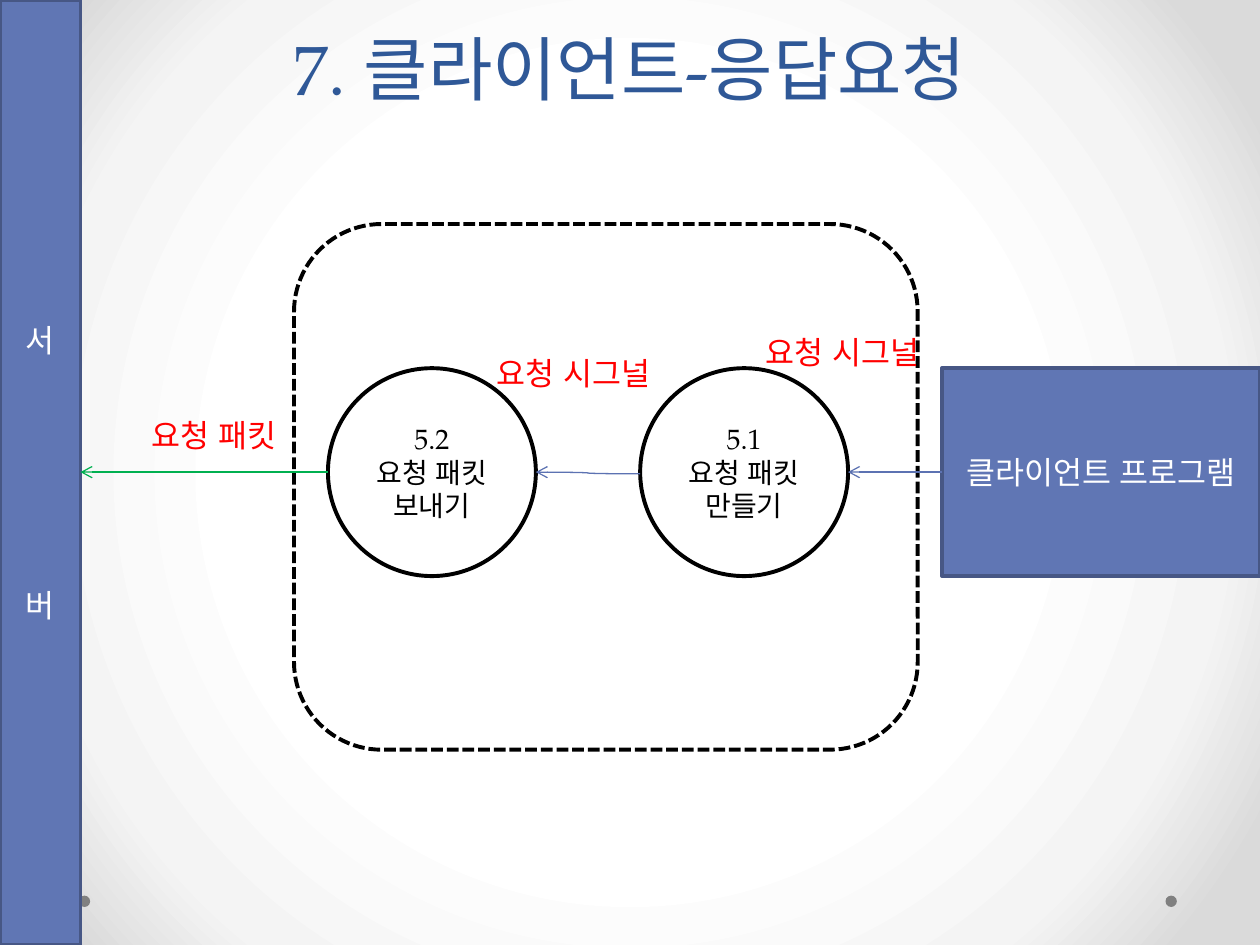
from lxml import etree
from pptx import Presentation
from pptx.dml.color import RGBColor
from pptx.enum.dml import MSO_LINE
from pptx.enum.lang import MSO_LANGUAGE_ID
from pptx.enum.shapes import MSO_CONNECTOR, MSO_SHAPE
from pptx.enum.text import MSO_ANCHOR, MSO_AUTO_SIZE, PP_ALIGN
from pptx.oxml import parse_xml
from pptx.oxml.ns import nsdecls, qn
from pptx.util import Pt

RECT, OVAL, ROUND = MSO_SHAPE.RECTANGLE, MSO_SHAPE.OVAL, MSO_SHAPE.ROUNDED_RECTANGLE
LINE, CURVE = MSO_CONNECTOR.STRAIGHT, MSO_CONNECTOR.CURVE
LEFT, MID = PP_ALIGN.LEFT, PP_ALIGN.CENTER
TOP, CENTER, BOTTOM = MSO_ANCHOR.TOP, MSO_ANCHOR.MIDDLE, MSO_ANCHOR.BOTTOM
DASH = MSO_LINE.SQUARE_DOT
FIXED, KOREAN = MSO_AUTO_SIZE.NONE, MSO_LANGUAGE_ID.KOREAN

FONT = "TeX Gyre Pagella"
BLACK = RGBColor(0x00, 0x00, 0x00)
WHITE = RGBColor(0xFF, 0xFF, 0xFF)
GRAY = RGBColor(0x80, 0x80, 0x80)
PALE = RGBColor(0xF4, 0xF4, 0xF4)
SILVER = RGBColor(0xDA, 0xDA, 0xDA)
NAVY = RGBColor(0x2F, 0x58, 0x97)
BLUE = RGBColor(0x60, 0x76, 0xB4)
EDGE = RGBColor(0x47, 0x57, 0x85)
WIRE = RGBColor(0x5C, 0x72, 0xB2)
GREEN = RGBColor(0x00, 0xB0, 0x50)
RED = RGBColor(0xFF, 0x00, 0x00)


def write(frame, text, size=18, color=WHITE, align=MID, anchor=CENTER,
          inset=None, gap=0, lead=None):
    """Put text in a frame, one paragraph a line, gap points apart."""
    frame.word_wrap = True
    frame.auto_size = FIXED
    frame.vertical_anchor = anchor
    if inset is not None:
        frame.margin_left = frame.margin_right = Pt(inset)
        frame.margin_top = frame.margin_bottom = Pt(inset)
    for i, line in enumerate(text.split("\n")):
        para = frame.add_paragraph() if i else frame.paragraphs[0]
        para.alignment = align
        para.space_before = Pt(gap if i else 0)
        if lead:
            para.line_spacing = Pt(lead)
        run = para.add_run()
        run.text = line
        font = run.font
        font.name, font.size, font.language_id = FONT, Pt(size), KOREAN
        font.color.rgb = color


class Board:
    """A slide and the style of what is drawn on it."""

    def __init__(self, deck):
        """Add a slide that has only a title."""
        self.slide = deck.slides.add_slide(deck.slide_layouts[5])
        self.shapes = self.slide.shapes

    def glow(self, stops):
        """Fill the background with a round gradient."""
        marks = "".join(
            f'<a:gs pos="{pos * 1000}"><a:srgbClr val="{color}"/></a:gs>'
            for pos, color in stops)
        back = parse_xml(
            f'<p:bg {nsdecls("p", "a")}><p:bgPr><a:gradFill rotWithShape="1">'
            f'<a:gsLst>{marks}</a:gsLst><a:path path="circle">'
            '<a:fillToRect l="50000" t="50000" r="50000" b="50000"/></a:path>'
            '</a:gradFill><a:effectLst/></p:bgPr></p:bg>')
        self.slide.element.cSld.insert(0, back)

    def title(self, text, box, **style):
        """Place and fill the title."""
        head = self.shapes.title
        head.left, head.top, head.width, head.height = map(Pt, box)
        write(head.text_frame, text, **style)

    def shape(self, kind, box, fill=None, line=None, dash=None, text="", **style):
        """Draw a preset shape, with text if any."""
        item = self.shapes.add_shape(kind, *map(Pt, box))
        item.shadow.inherit = False
        if fill is None:
            item.fill.background()
        else:
            item.fill.solid()
            item.fill.fore_color.rgb = fill
        if line is None:
            item.line.fill.background()
        else:
            item.line.color.rgb = line
            item.line.width = Pt(2.25)
            if dash:
                item.line.dash_style = dash
        if text:
            write(item.text_frame, text, **style)

    def label(self, text, box):
        """Add a red label."""
        item = self.shapes.add_textbox(*map(Pt, box))
        write(item.text_frame, text, color=RED, align=LEFT, anchor=TOP)

    def arrow(self, kind, start, end, color):
        """Draw a thin line with an open head at its end."""
        item = self.shapes.add_connector(kind, *map(Pt, start + end))
        item.line.color.rgb = color
        item.line.width = Pt(0.75)
        etree.SubElement(item.line._get_or_add_ln(), qn("a:tailEnd"), type="arrow")
        etree.SubElement(item._element.spPr, qn("a:effectLst"))


def main():
    """Build the slide and save it."""
    deck = Presentation()
    deck.slide_width, deck.slide_height = Pt(720), Pt(540)
    board = Board(deck)
    board.glow([(50, WHITE), (76, PALE), (92, SILVER)])
    for x in (666, 45):
        board.shape(OVAL, (x, 511.8, 6.5, 6.5), fill=GRAY)
    board.title("7. 클라이언트-응답요청", (36, 0, 648, 66), size=40,
                color=NAVY, anchor=BOTTOM, lead=58)

    bar, side, top, mid = 46, 118.8, 210.4, 269.8
    send, make, app = 187.4, 365.8, 538.4
    for x, text in ((send, "5.2\n요청 패킷 보내기"), (make, "5.1\n요청 패킷 만들기")):
        board.shape(OVAL, (x, top, side, side), fill=WHITE, line=BLACK,
                    text=text, size=16, color=BLACK, inset=2.9)
    board.shape(RECT, (app, top, 720 - app, side), fill=BLUE, line=EDGE,
                text="클라이언트 프로그램")
    board.shape(RECT, (0, 0, bar, 540), fill=BLUE, line=EDGE,
                text="서\n버", gap=130)
    board.shape(ROUND, (168, 128, 356.4, 300.4), line=BLACK, dash=DASH)

    board.arrow(CURVE, (app, mid), (make + side, mid), WIRE)
    board.arrow(CURVE, (make, mid + 1), (send + side, mid), WIRE)
    board.arrow(LINE, (send, mid), (bar, mid), GREEN)
    board.label("요청 패킷", (79.6, 234, 108, 29))
    for x, y in ((430.6, 187), (276.6, 199)):
        board.label("요청 시그널", (x, y, 119, 29))
    deck.save("out.pptx")


main()
